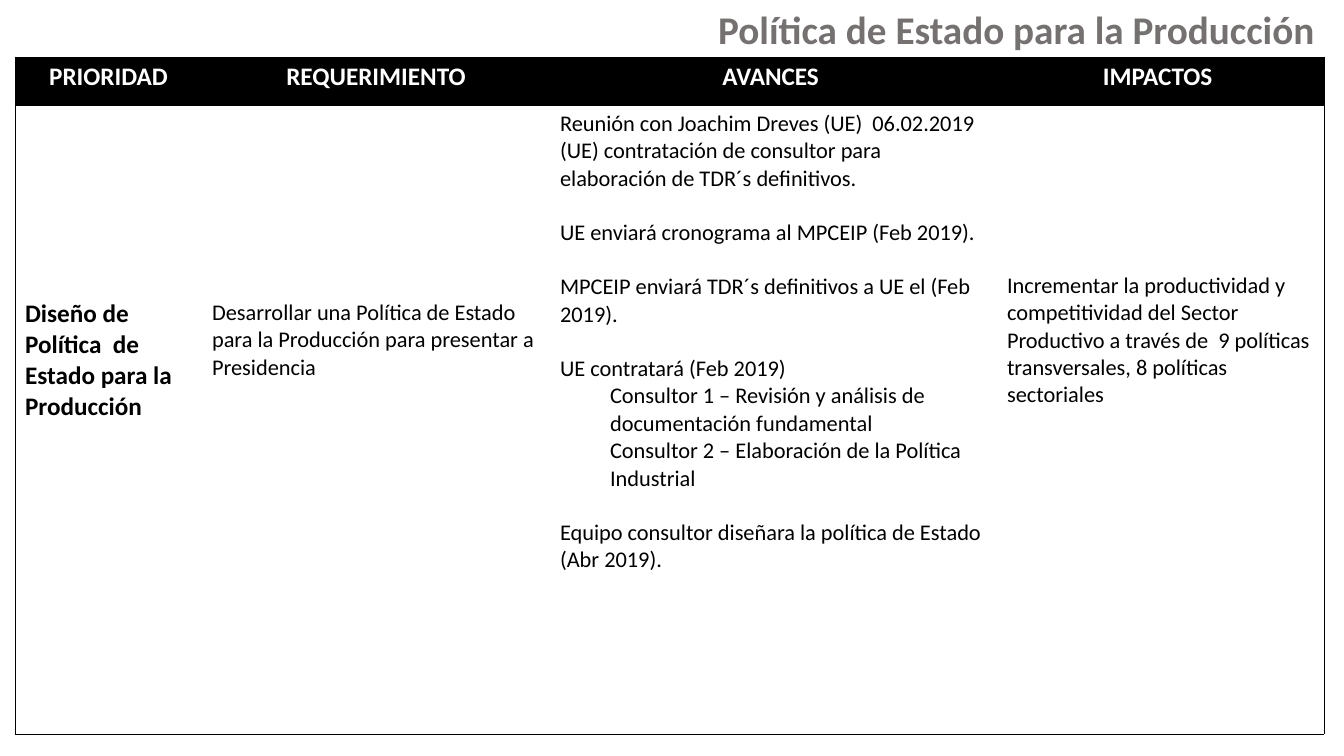
from lxml import etree
from pptx import Presentation
from pptx.dml.color import RGBColor
from pptx.enum.text import PP_ALIGN
from pptx.oxml.ns import qn
from pptx.util import Emu, Pt

LEFT, CENTER, RIGHT = PP_ALIGN.LEFT, PP_ALIGN.CENTER, PP_ALIGN.RIGHT
COLORS = {"black": "000000", "white": "FFFFFF", "title": "767171"}
FORMATS = {
    "title": {"size": Pt(28), "bold": True},
    "strong": {"size": Pt(18), "bold": True},
    "body": {"size": Pt(16), "bold": False},
}
SLIDE = (1344, 756)
TITLE = "Política de Estado para la Producción "
TITLE_BOX = (565, 0, 768, 57)
TABLE_AT = (15, 57)
COLUMNS = (187, 348, 447, 327)
ROWS = (48, 629)
INSET, LINE, INDENT, BORDER = 5, 27, 50, 0.5

HEADERS = ["PRIORIDAD", "REQUERIMIENTO", "AVANCES ", "IMPACTOS "]
# fields: format, lines above the text, paragraphs as (text, gap lines, indent level)
BODY = [
    ("strong", 7, [("Diseño de Política  de Estado para la  Producción", 0, 0)]),
    ("body", 7, [("Desarrollar una Política de Estado para la Producción para presentar a Presidencia", 0, 0)]),
    ("body", 0, [
        ("Reunión con Joachim Dreves (UE)  06.02.2019 (UE) contratación de consultor para elaboración de TDR´s definitivos.", 0, 0),
        ("UE enviará cronograma al MPCEIP (Feb 2019).", 1, 0),
        ("MPCEIP enviará TDR´s definitivos a UE el (Feb 2019).", 1, 0),
        ("UE contratará (Feb 2019)", 1, 0),
        ("Consultor 1 – Revisión y análisis de documentación fundamental", 0, 1),
        ("Consultor 2 – Elaboración de la Política Industrial", 0, 1),
        ("Equipo consultor diseñara la política de Estado (Abr 2019).", 1, 0),
    ]),
    ("body", 6, [("Incrementar la productividad y competitividad del Sector Productivo a través de  9 políticas transversales, 8 políticas sectoriales", 0, 0)]),
]


def px(n):
    return Emu(round(n * 914400 / 100.8))


def write(tf, paragraphs, fmt, color, align):
    for i, (text, gap, level) in enumerate(paragraphs):
        p = tf.paragraphs[0] if i == 0 else tf.add_paragraph()
        p.alignment = align
        if gap:
            p.space_before = px(gap * LINE)
        if level:
            p.level = level
            p._p.get_or_add_pPr().set("marL", str(px(level * INDENT)))
        r = p.add_run()
        r.text = text
        r.font.name = "Calibri"
        r.font.color.rgb = RGBColor.from_string(COLORS[color])
        for key, value in FORMATS[fmt].items():
            setattr(r.font, key, value)


def set_borders(cell, visible):
    tcPr = cell._tc.get_or_add_tcPr()
    for i, side in enumerate("LRTB"):
        ln = etree.Element(qn("a:ln" + side), w=str(Pt(BORDER)))
        if side in visible:
            fill = etree.SubElement(ln, qn("a:solidFill"))
            etree.SubElement(fill, qn("a:srgbClr"), val=COLORS["black"])
        else:
            etree.SubElement(ln, qn("a:noFill"))
        tcPr.insert(i, ln)


def add_table(s):
    table = s.shapes.add_table(len(ROWS), len(COLUMNS), *map(px, TABLE_AT + (sum(COLUMNS), sum(ROWS)))).table
    table.first_row = table.horz_banding = False
    for column, width in zip(table.columns, COLUMNS):
        column.width = px(width)
    for row, height in zip(table.rows, ROWS):
        row.height = px(height)
    headers = [("strong", 0, [(text, 0, 0)]) for text in HEADERS]
    looks = [("black", "white", CENTER), ("white", "black", LEFT)]
    for r, (cells, (fill, color, align)) in enumerate(zip((headers, BODY), looks)):
        for c, (fmt, lines, paragraphs) in enumerate(cells):
            cell = table.cell(r, c)
            cell.fill.solid()
            cell.fill.fore_color.rgb = RGBColor.from_string(COLORS[fill])
            cell.margin_top = px(INSET + lines * LINE)
            write(cell.text_frame, paragraphs, fmt, color, align)
            sides = "TB" + ("L" if c == 0 else "") + ("R" if c == len(COLUMNS) - 1 else "")
            set_borders(cell, sides)


def main():
    prs = Presentation()
    prs.slide_width, prs.slide_height = map(px, SLIDE)
    s = prs.slides.add_slide(prs.slide_layouts[6])
    add_table(s)
    tf = s.shapes.add_textbox(*map(px, TITLE_BOX)).text_frame
    tf.word_wrap = True
    write(tf, [(TITLE, 0, 0)], "title", "title", RIGHT)
    prs.save("out.pptx")


if __name__ == "__main__":
    main()
